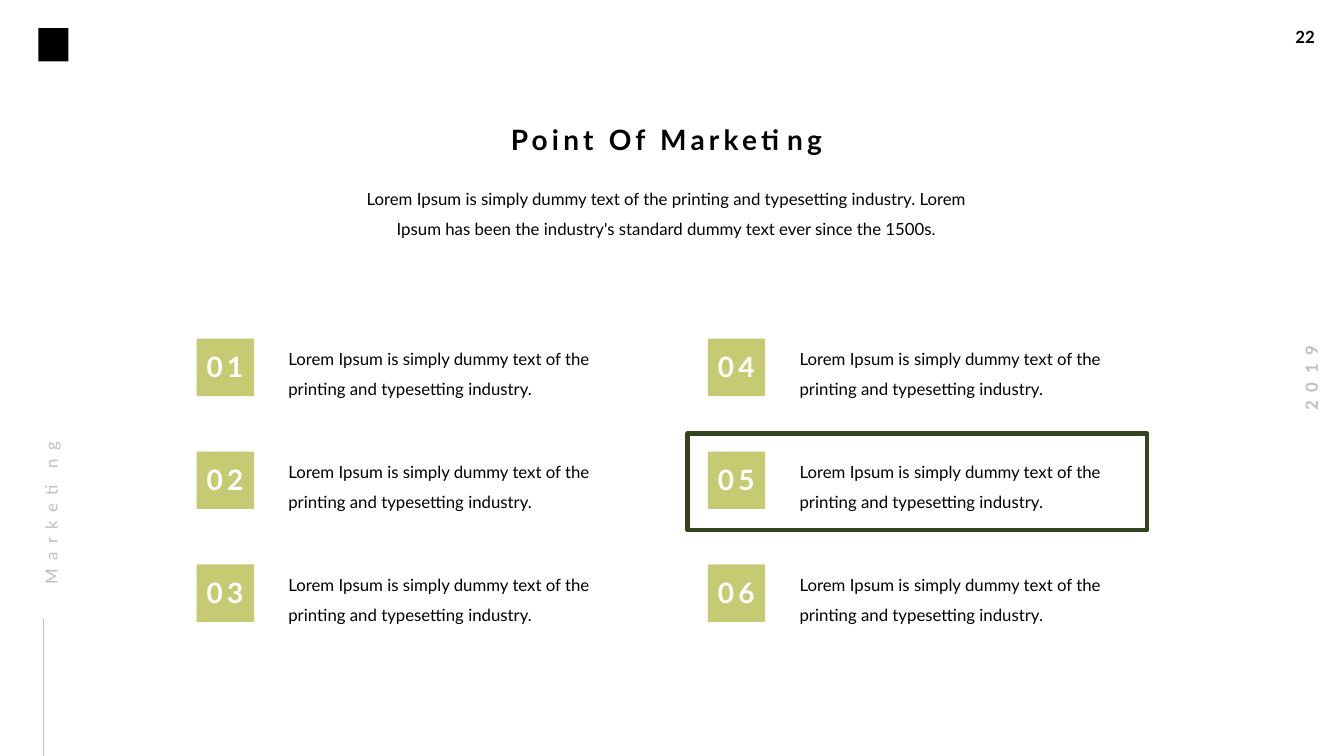
"""Build the numbered six-point marketing slide."""
from dataclasses import dataclass

from lxml.etree import SubElement
from pptx import Presentation
from pptx.dml.color import RGBColor
from pptx.enum.shapes import MSO_CONNECTOR as CONN, MSO_SHAPE as SHAPE
from pptx.enum.text import MSO_AUTO_SIZE as AUTO, PP_ALIGN as ALIGN
from pptx.oxml.ns import qn
from pptx.util import Inches, Pt

TITLE = "Point Of Marketing"
INTRO = ("Lorem Ipsum is simply dummy text of the printing and typesetting industry. "
         "Lorem Ipsum has been the industry's standard dummy text ever since the 1500s.")
POINT = "Lorem Ipsum is simply dummy text of the printing and typesetting industry."
POINTS = [(f"{n:02}", POINT) for n in range(1, 7)]
PAGE, YEAR, SECTION = "22", "2019", "Marketing"
HIGHLIGHT = 4

WIDTH, HEIGHT = 13.33, 7.5
ROWS = 3
GRID_LEFT, GRID_TOP = 1.95, 3.36
COL_STEP, ROW_STEP = 5.07, 1.12
BADGE = 0.57
TIGHT, ROOMY = (0, 0, 0.1, 0), (0.1, 0.05, 0.1, 0.05)


@dataclass(frozen=True)
class Theme:
    font: str = "Lato"
    ink: str = "000000"
    white: str = "FFFFFF"
    muted: str = "BFBFBF"
    badge: str = "C6CA72"
    frame: str = "36441E"
    body: int = 12
    head: int = 20


T = Theme()


def add_text(s, box, text, color=T.ink, size=T.body, bold=False, track=0,
             align=ALIGN.LEFT, leading=None, insets=TIGHT, wrap=True, turn=0):
    sp = s.shapes.add_textbox(*map(Inches, box))
    sp.rotation = turn
    tf = sp.text_frame
    tf.word_wrap = wrap
    tf.auto_size = AUTO.SHAPE_TO_FIT_TEXT
    tf.margin_left, tf.margin_top, tf.margin_right, tf.margin_bottom = map(Inches, insets)
    p = tf.paragraphs[0]
    p.alignment = align
    if leading:
        p.line_spacing = leading
    r = p.add_run()
    r.text = text
    r.font.name, r.font.size, r.font.bold = T.font, Pt(size), bold
    r.font.color.rgb = RGBColor.from_string(color)
    if track:
        r.font._element.set("spc", str(track * 100))


def add_rect(s, box, fill=None, line=None, weight=0):
    sp = s.shapes.add_shape(SHAPE.RECTANGLE, *map(Inches, box))
    sp.shadow.inherit = False
    if fill:
        sp.fill.solid()
        sp.fill.fore_color.rgb = RGBColor.from_string(fill)
    else:
        sp.fill.background()
    if line:
        sp.line.color.rgb = RGBColor.from_string(line)
        sp.line.width = Pt(weight)
    else:
        sp.line.fill.background()


def add_margins(s):
    add_rect(s, (0.38, 0.28, 0.3, 0.33), fill=T.ink)
    add_text(s, (12.75, 0.22, 0.41, 0.3), PAGE, bold=True, insets=ROOMY, wrap=False)
    add_text(s, (12.54, HEIGHT * 0.48, 0.93, 0.3), YEAR, T.muted, bold=True, track=6,
             align=ALIGN.CENTER, insets=ROOMY, wrap=False, turn=270)
    add_text(s, (-0.49, 4.74, 1.85, 0.26), SECTION, T.muted, track=6, leading=1.5, turn=270)
    rule = s.shapes.add_connector(CONN.STRAIGHT, *map(Inches, (0.43, HEIGHT, 0.43, 6.14)))
    rule.line.color.rgb = RGBColor.from_string(T.muted)
    rule.line.width = Pt(0.5)
    SubElement(rule._element.spPr, qn("a:effectLst"))


def add_points(s):
    for i, (number, text) in enumerate(POINTS):
        col, row = divmod(i, ROWS)
        x, y = GRID_LEFT + col * COL_STEP, GRID_TOP + row * ROW_STEP
        add_text(s, (x + 0.91, y, 3.45, BADGE), text, leading=1.5)
        add_rect(s, (x, y, BADGE, BADGE), fill=T.badge)
        add_text(s, (x + 0.1, y + 0.11, BADGE, 0.34), number, T.white, T.head, True, 3)
        if i == HIGHLIGHT:
            add_rect(s, (x - 0.2, y - 0.18, 4.56, 0.96), line=T.frame, weight=3)


def main():
    prs = Presentation()
    prs.slide_width, prs.slide_height = Inches(WIDTH), Inches(HEIGHT)
    s = prs.slides.add_slide(prs.slide_layouts[6])
    add_margins(s)
    add_text(s, (3.44, 1.77, 6.44, 0.57), INTRO, align=ALIGN.CENTER, leading=1.5)
    add_text(s, (4.91, 1.22, 3.5, 0.34), TITLE, size=T.head, bold=True, track=3,
             align=ALIGN.CENTER)
    add_points(s)
    prs.save("out.pptx")


if __name__ == "__main__":
    main()
